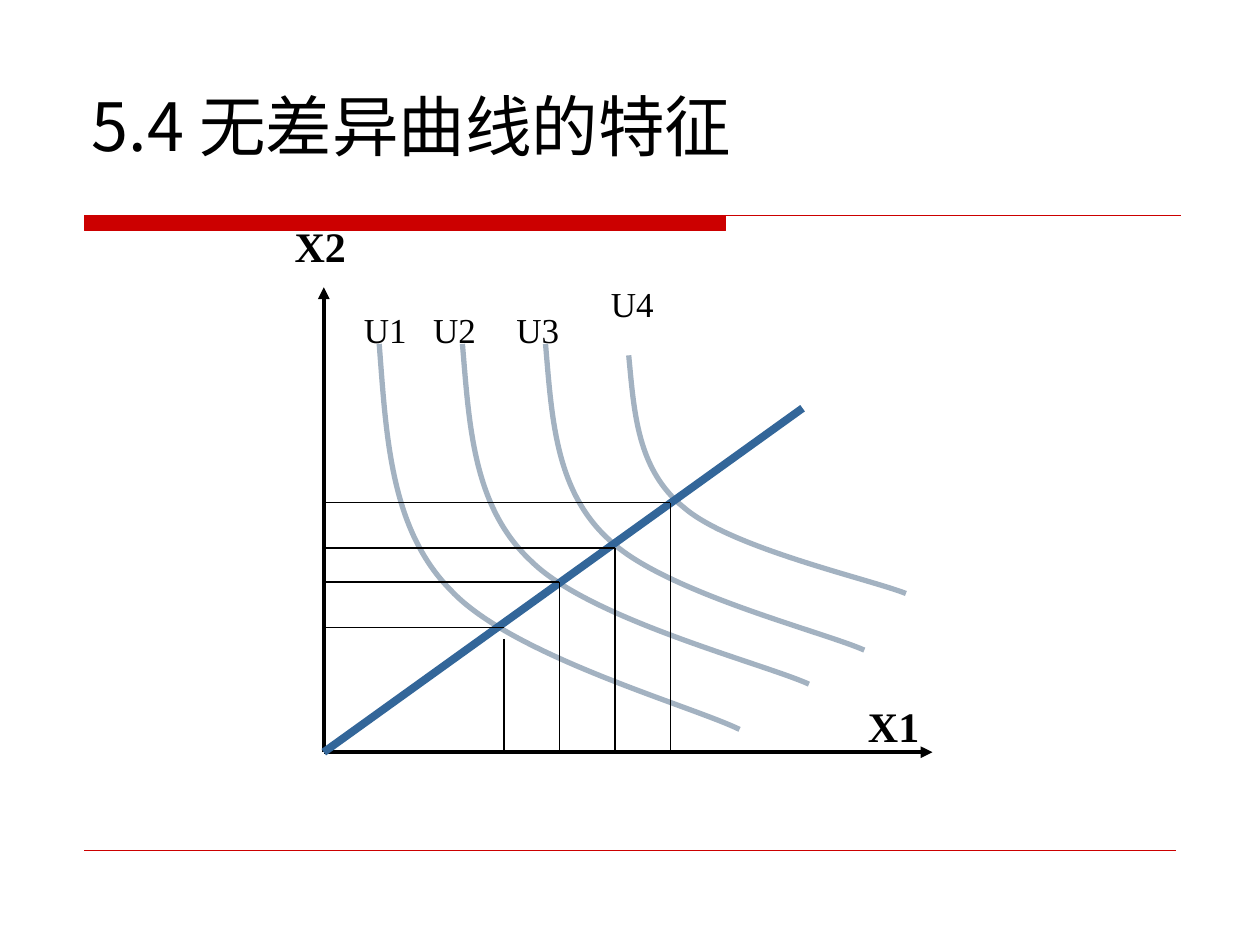
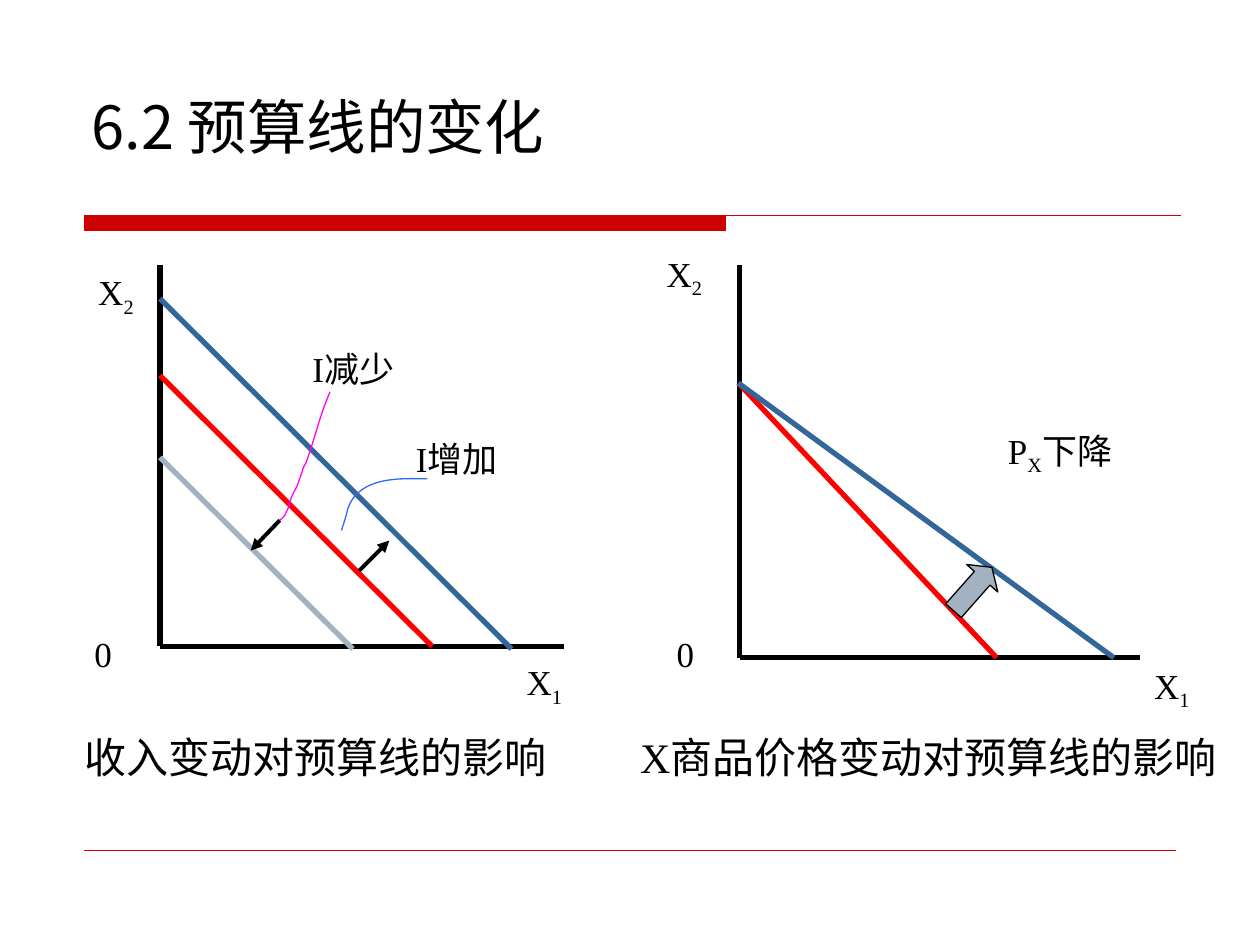
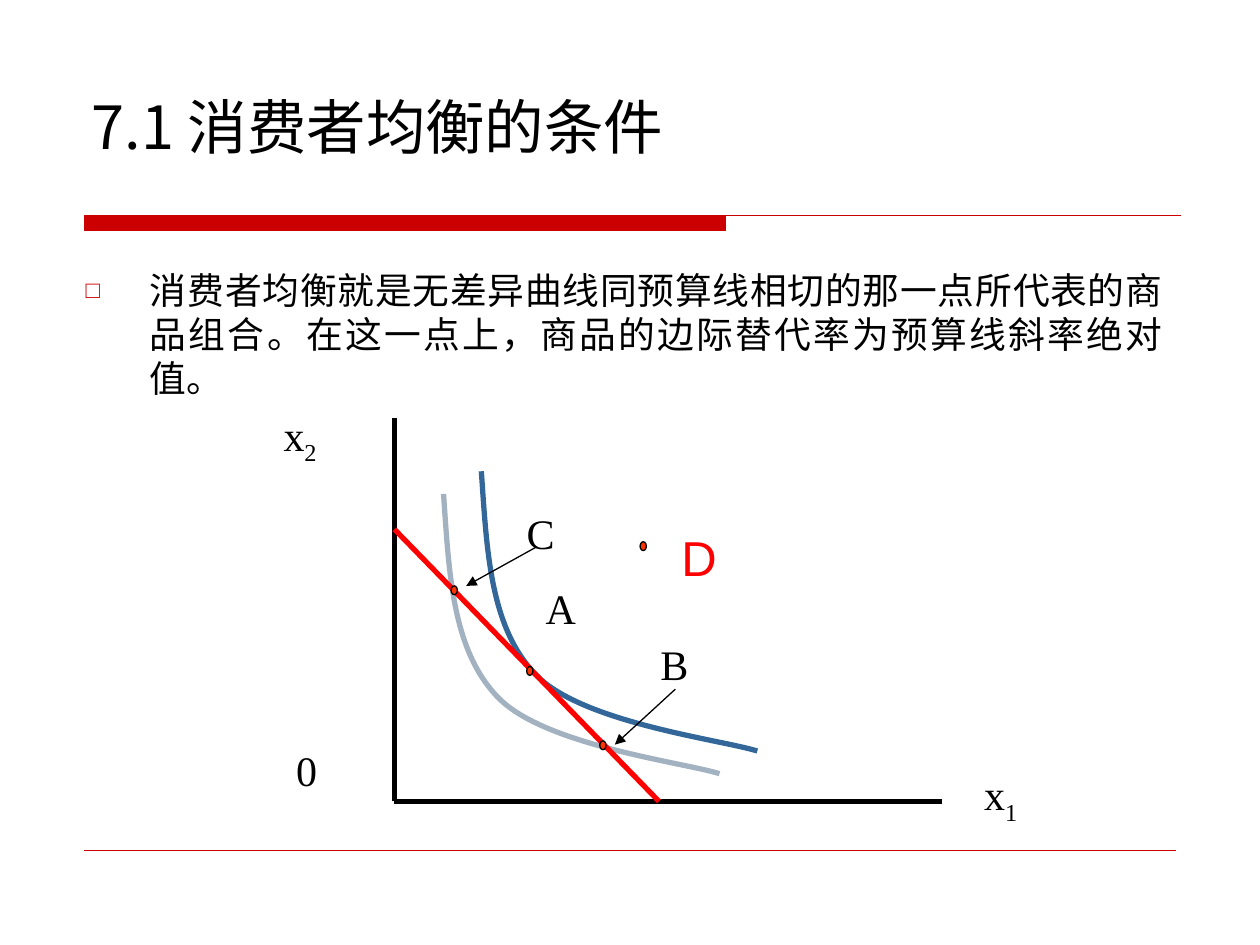
from lxml.etree import SubElement
from pptx import Presentation
from pptx.dml.color import RGBColor
from pptx.enum.shapes import MSO_CONNECTOR as Connector, MSO_SHAPE as Shape
from pptx.enum.text import MSO_ANCHOR as Anchor, MSO_AUTO_SIZE as AutoSize, PP_ALIGN as Align
from pptx.oxml.ns import qn
from pptx.util import Inches, Pt

# Slide size and a grid of 10 columns by 7.5 rows
WIDTH, HEIGHT = Inches(10), Inches(7.5)
COLS, ROWS = 10, 7.5

# Shared look
BLACK, RED, ACCENT = "000000", "FF0000", "CC0000"
BLUE, GREY, DOT = "336699", "A3B2C1", "FF3300"
SANS, SERIF = "Noto Sans CJK SC", "Times New Roman"

# Indifference curve as shares of its frame: two joined cubic curves
CURVE_X = (0, 0.02, 0.03, 0.2, 0.37, 0.87, 1)
MAP_CURVE_Y = (0, 0.24, 0.48, 0.64, 0.81, 0.94, 1)
TANGENT_CURVE_Y = (0, 0.28, 0.56, 0.73, 0.9, 0.96, 1)


def col(n):
    return round(WIDTH * n / COLS)


def row(n):
    return round(HEIGHT * n / ROWS)


def grid(points):
    return [(col(x), row(y)) for x, y in points]


def rgb(color):
    return RGBColor.from_string(color)


def place(s, left, top, width, height):
    s.left, s.top, s.width, s.height = col(left), row(top), col(width), row(height)


def add_run(p, text, size, font=SERIF, color=BLACK, bold=False, sub=False):
    r = p.add_run()
    r.text = text
    r.font.name, r.font.size, r.font.bold = font, Pt(size), bold
    r.font.color.rgb = rgb(color)
    if font == SANS:
        SubElement(r.font._element, qn("a:ea"), typeface=font)
    if sub:
        r.font._element.set("baseline", "-25000")


# Text
def add_label(slide, text, left, top, width, height, size=20, sub="", after="",
              inset=(0, 0), wrap=True, leading=None, **style):
    """Text box whose text may hold a subscript and a tail after it."""
    s = slide.shapes.add_textbox(col(left), row(top), col(width), row(height))
    tf = s.text_frame
    tf.word_wrap = wrap
    tf.margin_left = tf.margin_right = col(inset[0])
    tf.margin_top = tf.margin_bottom = row(inset[1])
    p = tf.paragraphs[0]
    p.alignment = Align.JUSTIFY if wrap else Align.LEFT
    if leading:
        p.line_spacing = Pt(leading)
    for part, is_sub in ((text, False), (sub, True), (after, False)):
        if part:
            add_run(p, part, size, sub=is_sub, **style)


def add_body(slide, text):
    s = slide.placeholders[1]
    place(s, 0.58, 2.08, 8.75, 4.67)
    tf = s.text_frame
    tf.auto_size, tf.vertical_anchor = AutoSize.NONE, Anchor.TOP
    p = tf.paragraphs[0]
    p.alignment, p.line_spacing, p.space_before = Align.JUSTIFY, Pt(25), Pt(0)
    pPr = p._p.get_or_add_pPr()
    pPr.set("marL", str(col(0.51)))
    pPr.set("indent", str(-col(0.51)))
    pPr.set("hangingPunct", "0")
    SubElement(SubElement(pPr, qn("a:buClr")), qn("a:srgbClr"), val=ACCENT)
    SubElement(pPr, qn("a:buSzPct"), val="65000")
    SubElement(pPr, qn("a:buChar"), char="□")
    add_run(p, text, 21, font=SANS)


# Lines, curves and shapes
def add_line(slide, start, end, color=BLACK, weight=3, arrow=False):
    s = slide.shapes.add_connector(Connector.STRAIGHT, col(start[0]), row(start[1]),
                                   col(end[0]), row(end[1]))
    s.line.color.rgb, s.line.width = rgb(color), Pt(weight)
    if arrow:
        SubElement(s.line._get_or_add_ln(), qn("a:tailEnd"), type="triangle")
    SubElement(s._element.spPr, qn("a:effectLst"))


def add_curve(slide, points, color, weight=3):
    """Smooth open curve: a start point, then three points per cubic piece."""
    start, *rest = grid(points)
    builder = slide.shapes.build_freeform(*start)
    builder.add_line_segments(rest, close=False)
    s = builder.convert_to_shape()
    # Turn every three straight pieces into one cubic piece
    outline = next(s._element.iter(qn("a:path")))
    pieces = outline.findall(qn("a:lnTo"))
    for i in range(0, len(pieces), 3):
        cubic = SubElement(outline, qn("a:cubicBezTo"))
        for piece in pieces[i:i + 3]:
            cubic.append(piece[0])
            outline.remove(piece)
    s.shadow.inherit = False
    s.fill.background()
    s.line.color.rgb, s.line.width = rgb(color), Pt(weight)


def add_indifference_curve(slide, left, top, width, height, color, curve_y):
    add_curve(slide, [(left + width * x, top + height * y)
                      for x, y in zip(CURVE_X, curve_y)], color)


def paint(s, fill, line=BLACK):
    s.shadow.inherit = False
    s.fill.solid()
    s.fill.fore_color.rgb = rgb(fill)
    s.line.color.rgb, s.line.width = rgb(line), Pt(0.75)


def add_solid(slide, kind, left, top, width, height, fill):
    s = slide.shapes.add_shape(kind, col(left), row(top), col(width), row(height))
    paint(s, fill)
    return s


def add_axes(slide, origin, top, right, weight=3, arrow=False):
    add_line(slide, origin, (origin[0], top), weight=weight, arrow=arrow)
    add_line(slide, origin, (right, origin[1]), weight=weight, arrow=arrow)


# Slide frame: title, red band and footer rule
def add_band(slide):
    """Thick bar whose top edge runs on as a thin rule."""
    start, *rest = grid([(0.67, 1.71), (5.76, 1.71), (5.76, 1.83), (0.67, 1.83)])
    rule_start, rule_end = grid([(0.67, 1.71), (9.37, 1.71)])
    builder = slide.shapes.build_freeform(*start)
    builder.add_line_segments(rest, close=True)
    builder.move_to(*rule_start)
    builder.add_line_segments([rule_end], close=False)
    paint(builder.convert_to_shape(), ACCENT, ACCENT)


def new_slide(prs, title, size=34, layout=5):
    slide = prs.slides.add_slide(prs.slide_layouts[layout])
    add_band(slide)
    add_line(slide, (0.67, 6.75), (9.33, 6.75), ACCENT, 0.25)
    s = slide.shapes.title
    place(s, 0.63, 0.33, 8.75, 1.33)
    tf = s.text_frame
    tf.auto_size, tf.vertical_anchor = AutoSize.NONE, Anchor.MIDDLE
    p = tf.paragraphs[0]
    p.alignment = Align.LEFT
    add_run(p, title, size, font=SANS)
    return slide


def indifference_map(prs):
    slide = new_slide(prs, "5.4 无差异曲线的特征", size=38)
    x0, y0 = origin = (2.57, 5.97)
    add_axes(slide, origin, 2.28, 7.4, weight=2.25, arrow=True)
    # Curves, each 0.66 further right
    frames = ((2.73, 2.86, 3.06), (2.73, 2.75, 2.7), (2.73, 2.53, 2.43), (2.82, 2.2, 1.89))
    for i, (top, width, height) in enumerate(frames):
        add_indifference_curve(slide, 3.01 + 0.66 * i, top, width, height, GREY, MAP_CURVE_Y)
    # Labels
    labels = (("U1", 2.79, 2.4), ("U2", 3.34, 2.4), ("U3", 4, 2.4), ("U4", 4.75, 2.19))
    for text, left, top in labels:
        add_label(slide, text, left, top, 0.54, 0.44, inset=(0.1, 0.05), wrap=False)
    for text, left, top in (("X1", 6.79, 5.51), ("X2", 2.24, 1.7)):
        add_label(slide, text, left, top, 0.61, 0.5, size=24, inset=(0.1, 0.05),
                  wrap=False, bold=True)
    # Ray from the origin and the guides of its crossings
    add_line(slide, origin, (6.37, 3.24), BLUE, 4.5)
    for i, (y, drop) in enumerate(((4.98, 5.07), (4.62, 4.62), (4.35, 4.35), (3.99, 3.99))):
        x = 4 + 0.44 * i
        add_line(slide, (x0, y), (x, y), weight=0.75)
        add_line(slide, (x, drop), (x, y0), weight=0.75)


def budget_lines(prs):
    slide = new_slide(prs, "6.2 预算线的变化")
    # Price change
    add_axes(slide, (5.87, 5.22), 2.1, 9.05)
    for right, color in ((7.91, RED), (8.84, BLUE)):
        add_line(slide, (5.86, 3.04), (right, 5.22), color)
    s = add_solid(slide, Shape.RIGHT_ARROW, 7.49, 4.51, 0.46, 0.33, GREY)
    s.rotation, s.adjustments[1] = 311.5, 0.35
    add_label(slide, "P", 8, 3.41, 0.93, 0.44, sub="X", after="下降", leading=27)
    # Income change
    add_axes(slide, (1.27, 5.13), 2.1, 4.48)
    for top, end, color in ((2.98, (3.43, 5.13), RED), (2.37, (4.06, 5.15), BLUE),
                            (3.63, (2.8, 5.15), GREY)):
        add_line(slide, (1.27, top), end, color)
    add_label(slide, "I增加", 3.3, 3.47, 0.82, 0.39, leading=24)
    add_label(slide, "I减少", 2.48, 2.76, 0.79, 0.31, leading=24)
    add_curve(slide, [(2.71, 4.21), (2.73, 4.15), (2.75, 4.09), (2.76, 4.04),
                      (2.85, 3.77), (3.2, 3.8), (3.39, 3.8)], "3366FF", 0.75)
    add_curve(slide, [(2.22, 4.13), (2.24, 4.11), (2.26, 4.1), (2.27, 4.07),
                      (2.3, 4.02), (2.3, 3.96), (2.33, 3.91),
                      (2.38, 3.82), (2.35, 3.87), (2.4, 3.74),
                      (2.4, 3.72), (2.42, 3.69), (2.43, 3.67),
                      (2.5, 3.48), (2.54, 3.29), (2.62, 3.11)], "FF00FF", 0.75)
    for start, end in (((2.22, 4.13), (1.99, 4.37)), ((2.85, 4.53), (3.09, 4.29))):
        add_line(slide, start, end, weight=2.25, arrow=True)
    # Axis labels and captions of both charts
    for text, sub, left, top in (("X", "1", 9.16, 5.27), ("0", "", 5.37, 5.02),
                                 ("X", "2", 5.29, 2), ("X", "1", 4.18, 5.24),
                                 ("0", "", 0.75, 5.02), ("X", "2", 0.78, 2.15)):
        add_label(slide, text, left, top, 0.44, 0.41, sub=sub)
    for text, left, width in (("收入变动对预算线的影响", 0.67, 3.86),
                              ("X商品价格变动对预算线的影响", 5.08, 4.59)):
        add_label(slide, text, left, 5.8, width, 0.54, size=24, leading=29)


def consumer_equilibrium(prs):
    slide = new_slide(prs, "7.1 消费者均衡的条件", layout=1)
    add_body(slide, "消费者均衡就是无差异曲线同预算线相切的那一点所代表的商品组合。"
                    "在这一点上，商品的边际替代率为预算线斜率绝对值。")
    # Axes, curves and budget line
    add_axes(slide, (3.13, 6.36), 3.32, 7.48)
    for left, top, color in ((3.82, 3.74, BLUE), (3.52, 3.92, GREY)):
        add_indifference_curve(slide, left, top, 2.19, 2.22, color, TANGENT_CURVE_Y)
    add_line(slide, (3.13, 4.2), (5.23, 6.36), RED)
    # Points and pointers
    for left, top in ((3.58, 4.65), (4.18, 5.29), (4.76, 5.88), (5.08, 4.3)):
        add_solid(slide, Shape.OVAL, left, top, 0.05, 0.07, DOT)
    for start, end in (((5.36, 5.47), (4.88, 5.91)), ((4.26, 4.34), (3.7, 4.65))):
        add_line(slide, start, end, weight=0.75, arrow=True)
    # Labels
    for text, sub, left, top in (("A", "", 4.33, 4.62), ("B", "", 5.24, 5.07),
                                 ("C", "", 4.18, 4.03), ("x", "1", 7.81, 6.1),
                                 ("0", "", 2.35, 5.91), ("x", "2", 2.25, 3.25)):
        add_label(slide, text, left, top, 0.75, 0.6, size=24, sub=sub)
    add_label(slide, "D", 5.31, 4.14, 0.55, 0.57, size=28, inset=(0.1, 0.05),
              font="Arial", color=RED)


def main():
    prs = Presentation()
    prs.slide_width, prs.slide_height = WIDTH, HEIGHT
    indifference_map(prs)
    budget_lines(prs)
    consumer_equilibrium(prs)
    prs.save("out.pptx")


if __name__ == "__main__":
    main()
